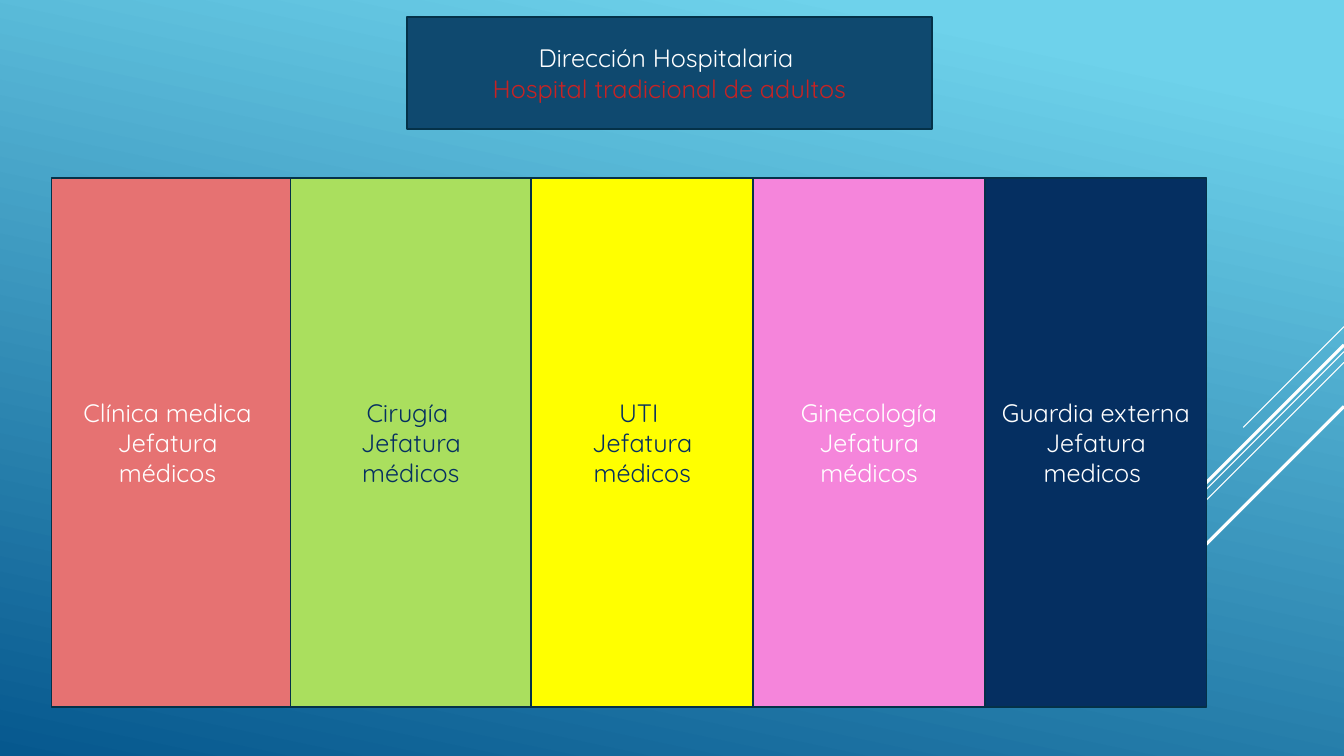
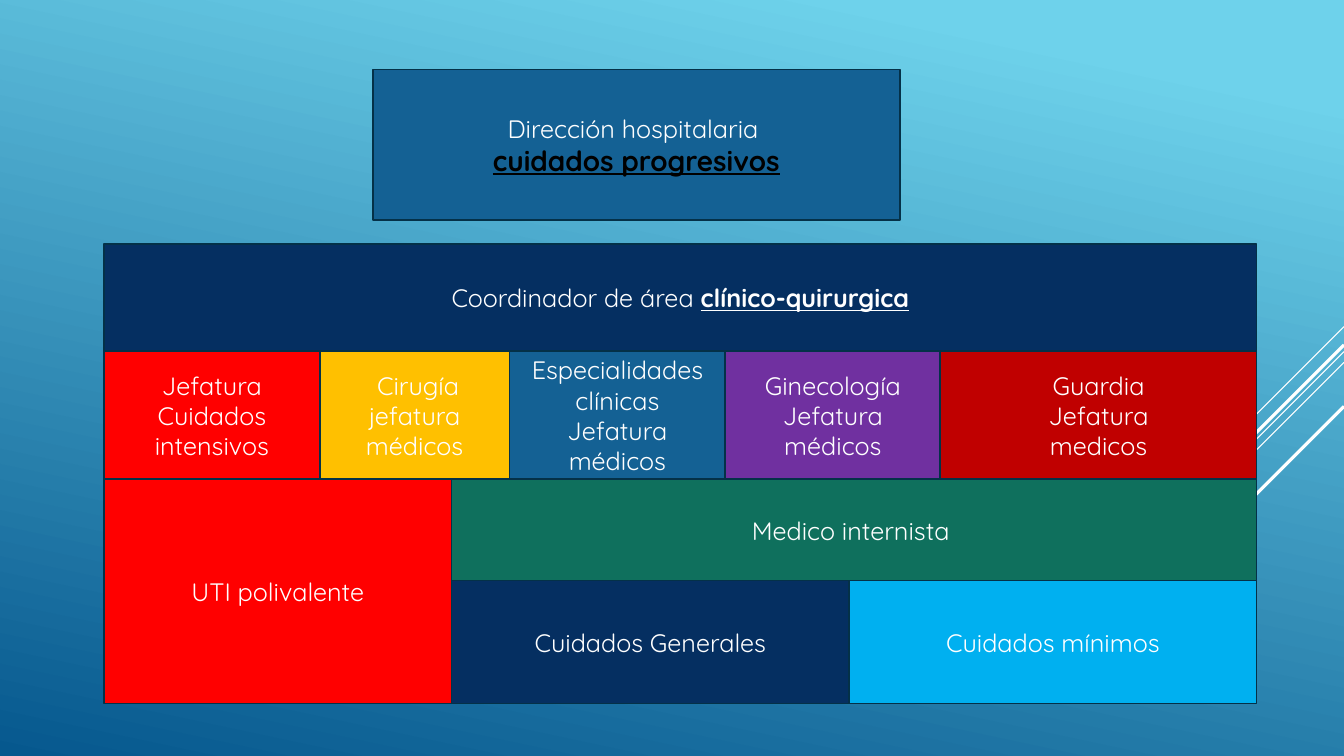
from pptx import Presentation
from pptx.dml.color import RGBColor
from pptx.enum.shapes import MSO_CONNECTOR, MSO_SHAPE
from pptx.enum.text import MSO_ANCHOR, PP_ALIGN
from pptx.oxml.ns import qn
from pptx.util import Cm, Pt
from lxml.etree import SubElement

FONT = "Quicksand"
WHITE = RGBColor(0xFF, 0xFF, 0xFF)
BLACK = RGBColor(0x00, 0x00, 0x00)
SKY = RGBColor(0x6E, 0xD2, 0xEB)
OCEAN = RGBColor(0x06, 0x58, 0x8E)
OUTLINE = RGBColor(0x04, 0x31, 0x48)
NAVY = RGBColor(0x05, 0x2F, 0x61)
DEEP_BLUE = RGBColor(0x0F, 0x49, 0x6F)
BLUE = RGBColor(0x14, 0x61, 0x94)
CYAN = RGBColor(0x00, 0xB0, 0xF0)
CORAL = RGBColor(0xE6, 0x72, 0x72)
LIME = RGBColor(0xAA, 0xDF, 0x5E)
YELLOW = RGBColor(0xFF, 0xFF, 0x00)
PINK = RGBColor(0xF5, 0x85, 0xDB)
RED = RGBColor(0xFF, 0x00, 0x00)
DARK_RED = RGBColor(0xC0, 0x00, 0x00)
TEXT_RED = RGBColor(0xC6, 0x23, 0x24)
AMBER = RGBColor(0xFF, 0xC0, 0x00)
PURPLE = RGBColor(0x70, 0x30, 0xA0)
GREEN = RGBColor(0x0F, 0x70, 0x5D)

SLIDE_W, SLIDE_H = 33.87, 19.05

# Diagonal lines from the right edge: top, horizontal run (cm), weight (pt)
RAYS = [(8.23, 2.54, 0.75), (8.86, 8.28, 0.75), (9.13, 5.26, 0.75),
        (8.69, 4.85, 2.25), (10.24, 3.53, 2.25)]

# Each slide is a list of rows: left, top, height, boxes.
# A box is width, fill, text colour, paragraphs;
# a paragraph is a list of runs: text, style changes.
PLAIN = {}
STRONG = {"bold": True, "underline": True}


def lines(*texts):
    return [[(text, PLAIN)] for text in texts]


TRADITIONAL = [
    (10.26, 0.43, 2.82, [
        (13.22, DEEP_BLUE, WHITE, [
            [("Dirección Hospitalaria ", PLAIN)],
            [("Hospital tradicional de adultos", {"color": TEXT_RED})]]),
    ]),
    (1.3, 4.48, 13.33, [
        (6.02, CORAL, WHITE, lines("Clínica medica ", "Jefatura ", "médicos ")),
        (6.07, LIME, NAVY, lines("Cirugía ", "Jefatura", "médicos")),
        (5.59, YELLOW, NAVY, lines("UTI ", "Jefatura", "médicos")),
        (5.84, PINK, WHITE, lines("Ginecología", "Jefatura", "médicos")),
        (5.59, NAVY, WHITE, lines("Guardia externa", "Jefatura", "medicos ")),
    ]),
]

# Grid of the progressive care chart (cm)
LEFT, RIGHT, SPLIT = 2.62, 31.67, 11.38
AREA_Y, CHIEFS_Y, WARD_Y, CARE_Y, END_Y = 6.15, 8.85, 12.08, 14.63, 17.73

PROGRESSIVE = [
    (9.4, 1.75, 3.8, [
        (13.28, BLUE, WHITE, [
            [("Dirección hospitalaria ", PLAIN)],
            [("cuidados progresivos", {"size": 20, "color": BLACK, **STRONG})]]),
    ]),
    (LEFT, AREA_Y, CHIEFS_Y - AREA_Y, [
        (RIGHT - LEFT, NAVY, WHITE,
         [[("Coordinador de área ", PLAIN), ("clínico-quirurgica", STRONG)]]),
    ]),
    (LEFT, CHIEFS_Y, WARD_Y - CHIEFS_Y, [
        (5.44, RED, WHITE, lines("Jefatura", "Cuidados intensivos")),
        (4.78, AMBER, WHITE, lines(" Cirugía", "jefatura", "médicos")),
        (5.44, BLUE, WHITE, lines("Especialidades clínicas", "Jefatura", "médicos")),
        (5.42, PURPLE, WHITE, lines("Ginecología", "Jefatura", "médicos")),
        (7.97, DARK_RED, WHITE, lines("Guardia", "Jefatura", "medicos")),
    ]),
    (LEFT, WARD_Y, END_Y - WARD_Y, [
        (SPLIT - LEFT, RED, WHITE, lines("UTI polivalente")),
    ]),
    (SPLIT, WARD_Y, CARE_Y - WARD_Y, [
        (RIGHT - SPLIT, GREEN, WHITE, lines("Medico internista ")),
    ]),
    (SPLIT, CARE_Y, END_Y - CARE_Y, [
        (10.02, NAVY, WHITE, lines("Cuidados Generales")),
        (10.27, CYAN, WHITE, lines("Cuidados mínimos")),
    ]),
]


def set_background(master):
    fill = master.background.fill
    fill.gradient()
    fill.gradient_angle = 258
    for stop, position, color in zip(fill.gradient_stops, (0.1, 1), (SKY, OCEAN)):
        stop.position = position
        stop.color.rgb = color


def add_rays(s):
    for top, run, weight in RAYS:
        ray = s.shapes.add_connector(
            MSO_CONNECTOR.STRAIGHT, Cm(SLIDE_W), Cm(top),
            Cm(SLIDE_W - run), Cm(top + run))
        ray.line.color.rgb = WHITE
        ray.line.width = Pt(weight)
        SubElement(ray._element.spPr, qn("a:effectLst"))


def add_text(tf, paragraphs, color):
    tf.word_wrap = True
    tf.vertical_anchor = MSO_ANCHOR.MIDDLE
    for i, runs in enumerate(paragraphs):
        p = tf.add_paragraph() if i else tf.paragraphs[0]
        p.alignment = PP_ALIGN.CENTER
        for text, style in runs:
            r = p.add_run()
            r.text = text
            r.font.name = FONT
            r.font.size = Pt(style.get("size", 18))
            r.font.bold = style.get("bold")
            r.font.underline = style.get("underline")
            r.font.color.rgb = style.get("color", color)


def add_row(s, left, top, height, boxes):
    for width, fill, color, paragraphs in boxes:
        sp = s.shapes.add_shape(
            MSO_SHAPE.RECTANGLE, Cm(left), Cm(top), Cm(width), Cm(height))
        sp.shadow.inherit = False
        sp.fill.solid()
        sp.fill.fore_color.rgb = fill
        sp.line.color.rgb = OUTLINE
        sp.line.width = Pt(1.25)
        add_text(sp.text_frame, paragraphs, color)
        left += width


def main():
    prs = Presentation()
    prs.slide_width, prs.slide_height = Cm(SLIDE_W), Cm(SLIDE_H)
    set_background(prs.slide_master)
    for rows in (TRADITIONAL, PROGRESSIVE):
        s = prs.slides.add_slide(prs.slide_layouts[6])
        add_rays(s)
        for row in rows:
            add_row(s, *row)
    prs.save("out.pptx")


if __name__ == "__main__":
    main()
